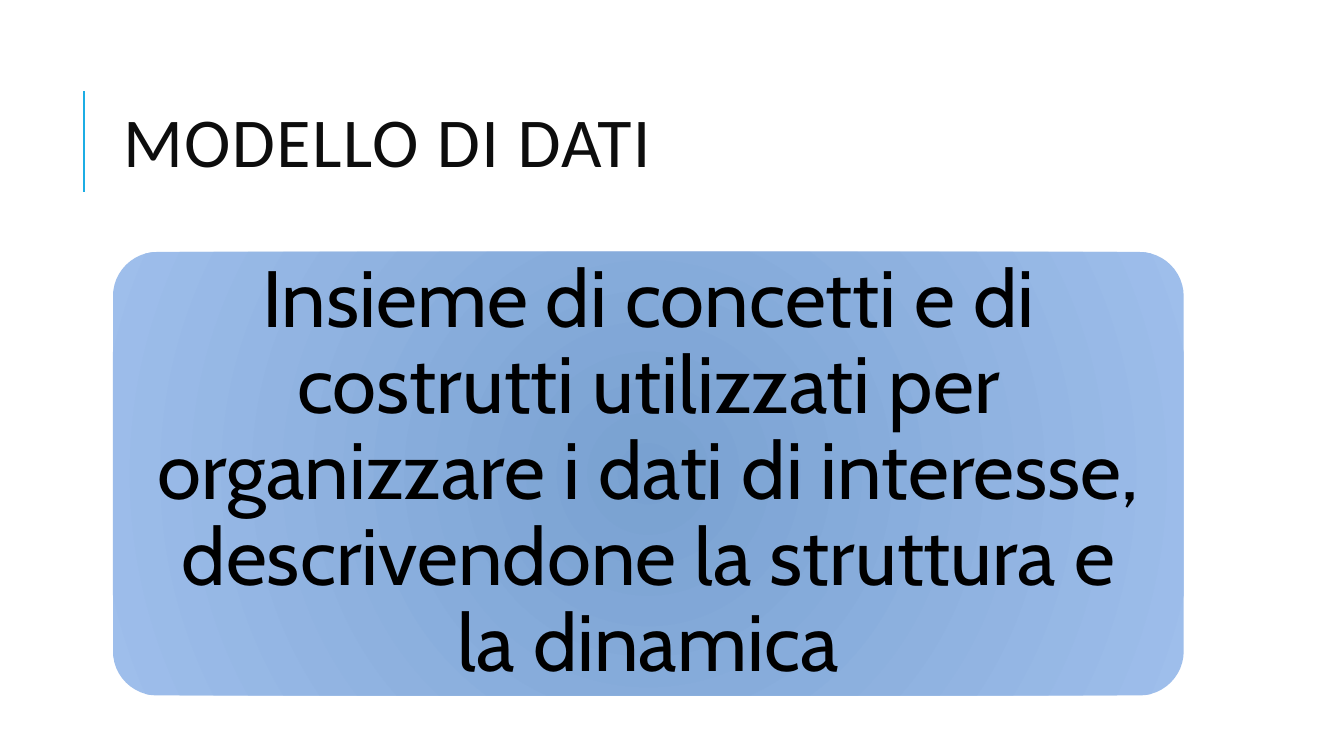
from lxml import etree
from pptx import Presentation
from pptx.dml.color import RGBColor
from pptx.enum.shapes import MSO_CONNECTOR, MSO_SHAPE
from pptx.enum.text import MSO_ANCHOR, MSO_AUTO_SIZE, PP_ALIGN
from pptx.oxml import parse_xml
from pptx.oxml.ns import nsdecls, qn
from pptx.util import Inches, Pt

COLORS = {
    "accent": "1CADE4",
    "title": "0D0D0D",
    "text": "000000",
    "center": "79A1D1",
    "edge": "9EBEEB",
}


def write(shape, text, font, size, color, align, line_spacing):
    """Fill a shape with one middle-anchored paragraph and return its run."""
    tf = shape.text_frame
    tf.text = text
    tf.word_wrap = True
    tf.auto_size = MSO_AUTO_SIZE.NONE
    tf.vertical_anchor = MSO_ANCHOR.MIDDLE
    p = tf.paragraphs[0]
    p.alignment = align
    p.line_spacing = line_spacing
    r = p.runs[0]
    r.font.name = font
    r.font.size = Pt(size)
    r.font.color.rgb = RGBColor.from_string(COLORS[color])
    return r


prs = Presentation()
prs.slide_width = Inches(13.33)
prs.slide_height = Inches(7.5)
s = prs.slides.add_slide(prs.slide_layouts[5])

# Accent line beside the title
accent = s.shapes.add_connector(
    MSO_CONNECTOR.STRAIGHT, Inches(0.83), Inches(1.9), Inches(0.83), Inches(0.9))
accent.line.color.rgb = RGBColor.from_string(COLORS["accent"])
accent.line.width = Pt(1.5)
etree.SubElement(accent._element.spPr, qn("a:effectLst"))

# Title
title = s.shapes.title
title.left, title.top = Inches(1.12), Inches(0.64)
title.width, title.height = Inches(10.63), Inches(1.64)
r = write(title, "MODELLO DI DATI", "Calibri", 50, "title", PP_ALIGN.LEFT, 0.8)
r.font._element.set("spc", "100")

# Definition card with a radial gradient
card = s.shapes.add_shape(
    MSO_SHAPE.ROUNDED_RECTANGLE, Inches(1.12), Inches(2.5), Inches(10.62), Inches(4.4))
card.adjustments[0] = 0.1
card.shadow.inherit = False
card.line.fill.background()
card.fill.gradient()
for stop, name in zip(card.fill.gradient_stops, ("center", "edge")):
    stop.color.rgb = RGBColor.from_string(COLORS[name])
grad = card._element.spPr.find(qn("a:gradFill"))
grad.replace(grad.find(qn("a:lin")), parse_xml(
    f'<a:path {nsdecls("a")} path="circle">'
    '<a:fillToRect l="50000" t="50000" r="50000" b="50000"/></a:path>'))

write(card, "Insieme di concetti e di costrutti utilizzati per organizzare i dati "
      "di interesse, descrivendone la struttura e la dinamica",
      "Cabin", 57, "text", PP_ALIGN.CENTER, 0.9)
tf = card.text_frame
tf.margin_left = tf.margin_right = tf.margin_top = tf.margin_bottom = Inches(0.24)

prs.save("out.pptx")
